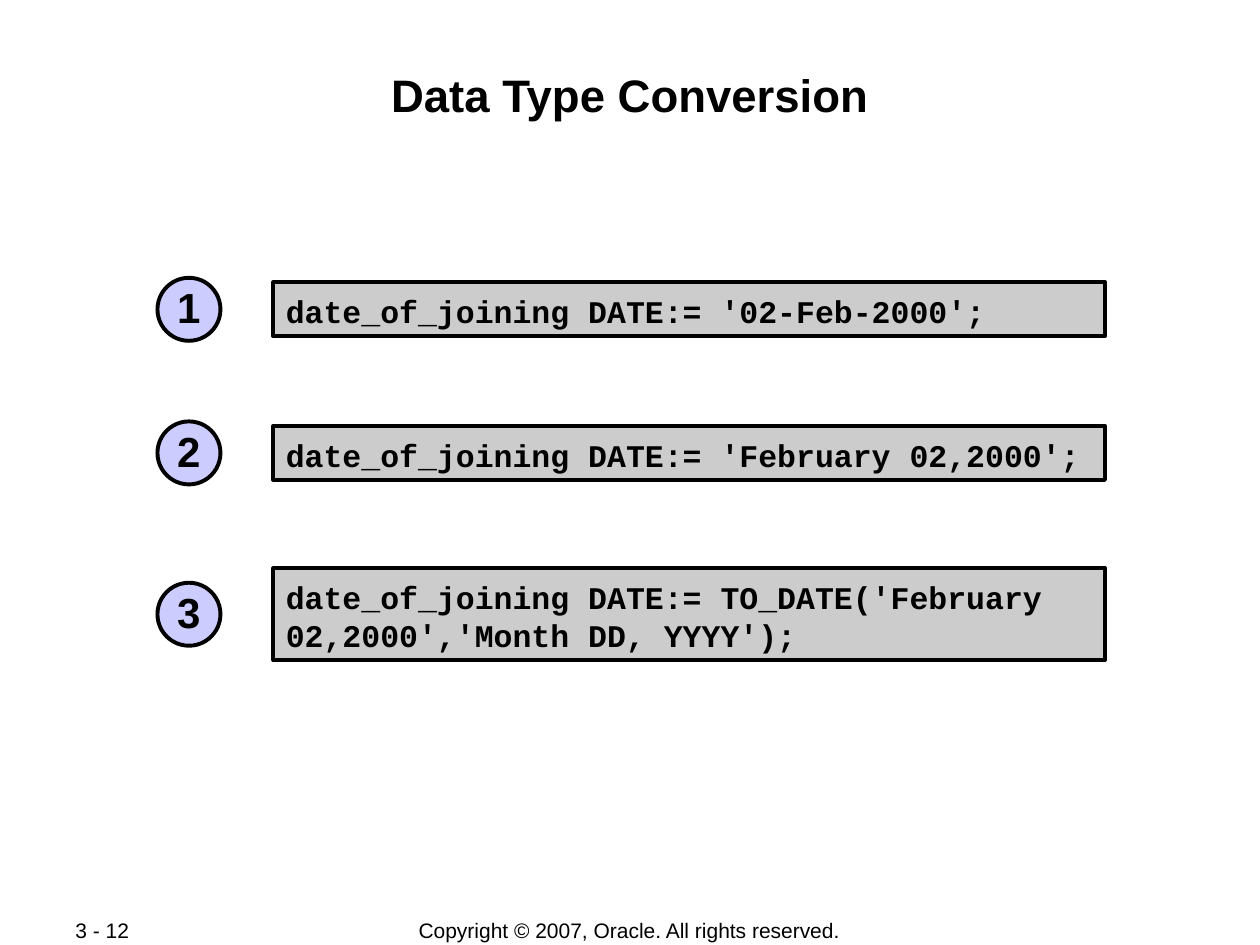
from pptx import Presentation
from pptx.dml.color import RGBColor
from pptx.enum.shapes import MSO_SHAPE as Shape
from pptx.enum.text import MSO_ANCHOR as Anchor, PP_ALIGN as Align
from pptx.util import Inches, Pt

BLACK = RGBColor(0x00, 0x00, 0x00)
GRAY = RGBColor(0xCC, 0xCC, 0xCC)
LAVENDER = RGBColor(0xCC, 0xCC, 0xFF)

TITLE_FONT = {"name": "Arial", "size": Pt(26), "bold": True}
CODE_FONT = {"name": "Courier New", "size": Pt(18), "bold": True}
NUMBER_FONT = {"name": "Arial", "size": Pt(24), "bold": True}
FOOTER_FONT = {"name": "Arial", "size": Pt(12), "bold": False}

CODE_LEFT, CODE_WIDTH = 2.17, 6.6
CIRCLE_LEFT, CIRCLE_SIZE = 1.25, 0.5
# top, height, code
EXAMPLES = [
    (2.24, 0.43, "date_of_joining DATE:= '02-Feb-2000';"),
    (3.38, 0.43, "date_of_joining DATE:= 'February 02,2000';"),
    (4.51, 0.73, "date_of_joining DATE:= TO_DATE('February 02,2000','Month DD, YYYY');"),
]


def write_text(shape, text, font_format, alignment, anchor, margins, wrap=True):
    """Fill a shape with one paragraph; margins are left, top, right, bottom."""
    frame = shape.text_frame
    frame.word_wrap = wrap
    frame.vertical_anchor = anchor
    for side, margin in zip(("left", "top", "right", "bottom"), margins):
        setattr(frame, f"margin_{side}", Inches(margin))
    paragraph = frame.paragraphs[0]
    paragraph.text = text
    paragraph.alignment = alignment
    for name, value in font_format.items():
        setattr(paragraph.font, name, value)
    paragraph.font.color.rgb = BLACK
    return paragraph


def add_outlined_shape(slide, kind, left, top, width, height, color):
    shape = slide.shapes.add_shape(
        kind, Inches(left), Inches(top), Inches(width), Inches(height))
    shape.shadow.inherit = False
    shape.fill.solid()
    shape.fill.fore_color.rgb = color
    shape.line.color.rgb = BLACK
    shape.line.width = Pt(2.25)
    return shape


def add_title(slide, text):
    title = slide.shapes.title
    title.left, title.top = Inches(0.67), Inches(0.48)
    title.width, title.height = Inches(8.66), Inches(0.96)
    write_text(title, text, TITLE_FONT, Align.CENTER, Anchor.TOP,
               (0.01, 0.05, 0.01, 0.01))


def add_code_box(slide, top, height, code):
    box = add_outlined_shape(slide, Shape.RECTANGLE, CODE_LEFT, top,
                             CODE_WIDTH, height, GRAY)
    write_text(box, code, CODE_FONT, Align.LEFT, Anchor.BOTTOM,
               (0.1, 0.05, 0.1, 0.05))


def add_number_circle(slide, number, center):
    circle = add_outlined_shape(slide, Shape.OVAL, CIRCLE_LEFT,
                                center - CIRCLE_SIZE / 2,
                                CIRCLE_SIZE, CIRCLE_SIZE, LAVENDER)
    paragraph = write_text(circle, str(number), NUMBER_FONT, Align.CENTER,
                           Anchor.MIDDLE, (0.05,) * 4, wrap=False)
    paragraph.line_spacing = 0.95


def add_footer(slide, text, left, width, alignment):
    box = slide.shapes.add_textbox(
        Inches(left), Inches(7.28), Inches(width), Inches(0.21))
    write_text(box, text, FOOTER_FONT, alignment, Anchor.MIDDLE,
               (0.1, 0.05, 0.1, 0.05))


def main():
    presentation = Presentation()
    presentation.slide_width = Inches(10)
    presentation.slide_height = Inches(7.5)
    slide = presentation.slides.add_slide(presentation.slide_layouts[5])

    add_title(slide, "Data Type Conversion")
    for number, (top, height, code) in enumerate(EXAMPLES, start=1):
        add_code_box(slide, top, height, code)
        add_number_circle(slide, number, top + height / 2)
    add_footer(slide, "Copyright © 2007, Oracle. All rights reserved.",
               2.75, 4.49, Align.CENTER)
    add_footer(slide, "3 - 12", 0.5, 1.06, Align.LEFT)

    presentation.save("out.pptx")


if __name__ == "__main__":
    main()
